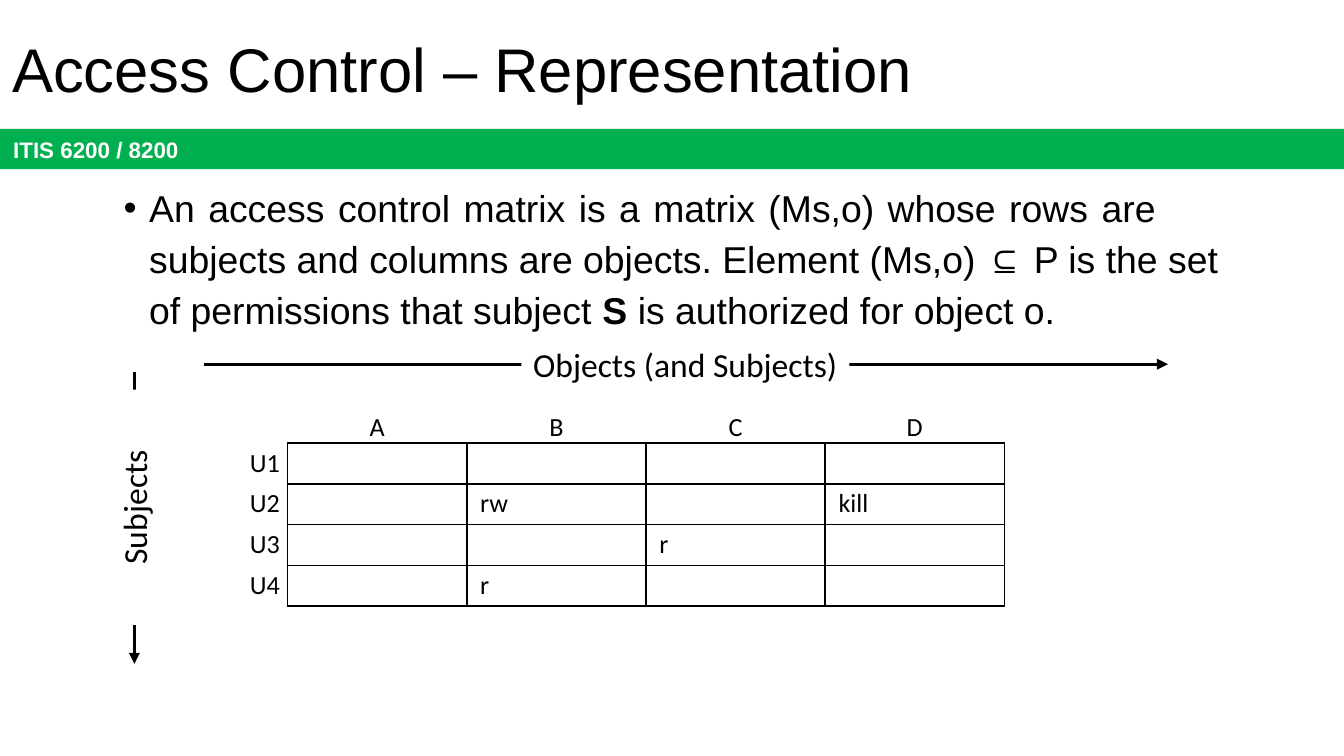
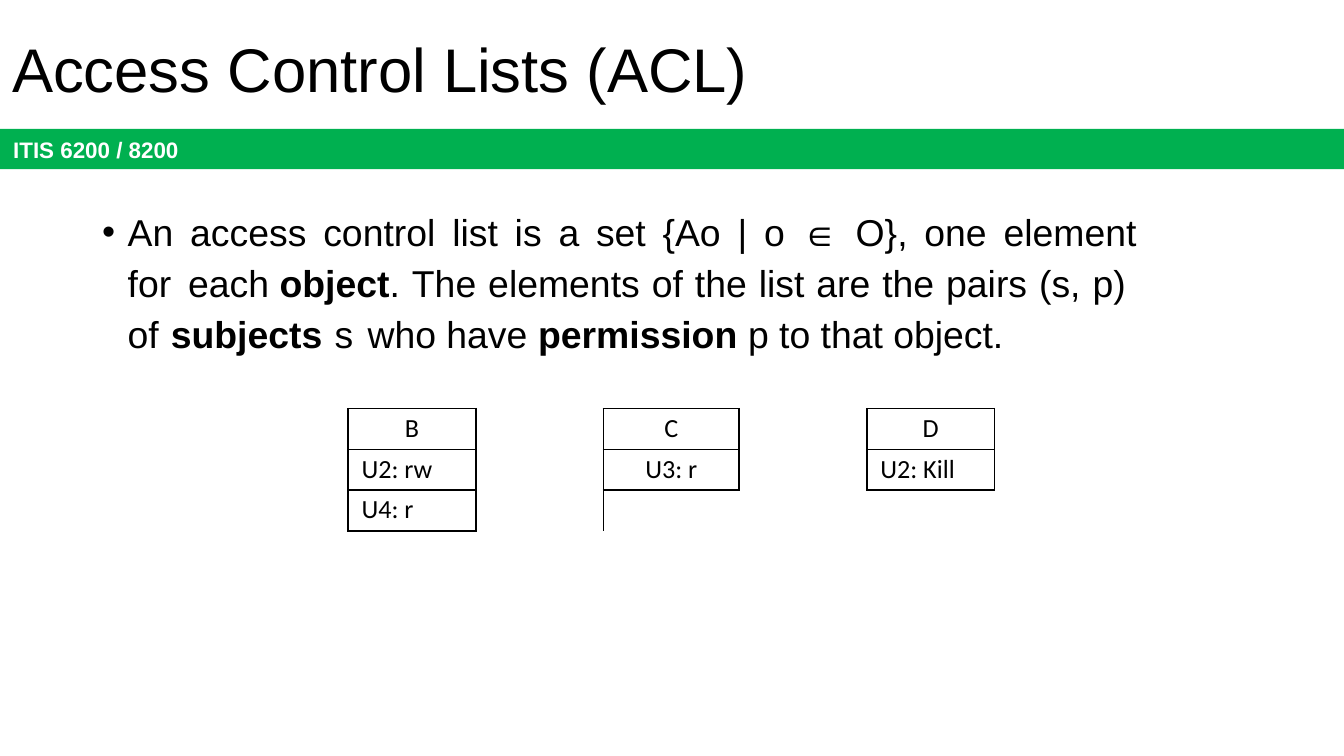
from itertools import product

from lxml.etree import SubElement
from pptx import Presentation
from pptx.dml.color import RGBColor
from pptx.enum.shapes import MSO_CONNECTOR as Connector, MSO_SHAPE as Shape
from pptx.enum.text import MSO_ANCHOR as Anchor, MSO_AUTO_SIZE as AutoSize, PP_ALIGN as Align
from pptx.oxml.ns import qn
from pptx.util import Inches, Pt

GREEN = RGBColor(0x00, 0xB0, 0x50)
WHITE = RGBColor(0xFF, 0xFF, 0xFF)
BLACK = RGBColor(0x00, 0x00, 0x00)
HEADING_FONT, LABEL_FONT = "Arial", "Calibri"
ROW_HEIGHT = 0.91 / 3
SIDES = {"L": (0, -1), "R": (0, 1), "T": (-1, 0), "B": (1, 0)}
OPPOSITE = {"L": "R", "R": "L", "T": "B", "B": "T"}


def set_font(font, name, size, color=BLACK, bold=False):
    font.name, font.size, font.bold = name, Pt(size), bold
    font.color.rgb = color


def set_margins(target, left=0.0, top=0.0, right=0.0, bottom=0.0):
    target.margin_left, target.margin_top = Inches(left), Inches(top)
    target.margin_right, target.margin_bottom = Inches(right), Inches(bottom)


def place(shape, box):
    shape.left, shape.top, shape.width, shape.height = map(Inches, box)


def add_box(slide, box, text, fill, align=Align.CENTER):
    """Borderless filled rectangle holding one line of text."""
    shape = slide.shapes.add_shape(Shape.RECTANGLE, *map(Inches, box))
    shape.shadow.inherit = False
    shape.fill.solid()
    shape.fill.fore_color.rgb = fill
    shape.line.fill.background()
    frame = shape.text_frame
    frame.word_wrap = True
    frame.vertical_anchor = Anchor.MIDDLE
    frame.text = text
    frame.paragraphs[0].alignment = align
    return shape


def add_heading(slide, title):
    """Title and course band shared by all slides."""
    band = add_box(slide, (0, 0.96, 10, 0.3), "ITIS 6200 / 8200", GREEN, Align.LEFT)
    set_margins(band.text_frame, 0.1, 0.1, 0.1, 0.1)
    set_font(band.text_frame.paragraphs[0].font, HEADING_FONT, 12, WHITE, True)

    place(slide.shapes.title, (0.08, 0.22, 6.99, 0.58))
    frame = slide.shapes.title.text_frame
    frame.text = title
    frame.auto_size = AutoSize.NONE
    frame.vertical_anchor = Anchor.TOP
    set_margins(frame, 0.01, 0.01)
    paragraph = frame.paragraphs[0]
    paragraph.alignment = Align.LEFT
    set_font(paragraph.font, HEADING_FONT, 33)


def add_definition(slide, box, segments):
    """Bulleted definition; each segment is (text, bold, extra points per space)."""
    body = slide.placeholders[1]
    place(body, box)
    frame = body.text_frame
    frame.auto_size = AutoSize.NONE
    frame.vertical_anchor = Anchor.TOP
    set_margins(frame, 0, 0.04)
    paragraph = frame.paragraphs[0]
    properties = paragraph._p.get_or_add_pPr()
    properties.set("marL", str(Inches(0.2)))
    properties.set("indent", str(Inches(-0.19)))
    SubElement(properties, qn("a:buFont"), typeface=HEADING_FONT)
    SubElement(properties, qn("a:buChar"), char="•")
    paragraph.alignment = Align.LEFT
    paragraph.line_spacing = 1.14
    paragraph.space_before = Pt(0)
    set_font(paragraph.font, HEADING_FONT, 20)
    for text, bold, stretch in segments:
        pieces = text.replace(" ", "\n \n").split("\n") if stretch else [text]
        for piece in filter(None, pieces):
            run = paragraph.add_run()
            run.text = piece
            run.font.bold = bold
            if piece == " ":
                run._r.get_or_add_rPr().set("spc", str(round(stretch * 100)))


def draw_border(cell, side, visible):
    line = SubElement(cell._tc.get_or_add_tcPr(), qn(f"a:ln{side}"), w=str(Pt(1)))
    if visible:
        fill = SubElement(line, qn("a:solidFill"))
        SubElement(fill, qn("a:srgbClr"), val=str(BLACK))
    else:
        SubElement(line, qn("a:noFill"))


def add_grid(slide, origin, widths, heights, texts, boxed, centred, extra_edges=()):
    """Table whose boxed cells are outlined; texts maps (row, column) to text."""
    size = sum(widths), sum(heights)
    table = slide.shapes.add_table(len(heights), len(widths), *map(Inches, (*origin, *size))).table
    table.first_row = table.horz_banding = False
    for column, width in zip(table.columns, widths):
        column.width = Inches(width)
    for row, height in zip(table.rows, heights):
        row.height = Inches(height)
    edges = set(extra_edges) | {(*position, side) for position in boxed for side in SIDES}
    for r, c in product(range(len(heights)), range(len(widths))):
        cell = table.cell(r, c)
        for side, (down, across) in SIDES.items():
            twin = (r + down, c + across, OPPOSITE[side])
            draw_border(cell, side, (r, c, side) in edges or twin in edges)
        cell.fill.background()
        is_centred = (r, c) in centred
        is_short = heights[r] < ROW_HEIGHT
        left = 0 if is_centred else 0.1 if (r, c) in boxed else 0.02
        set_margins(cell, left, 0.03 if (r, c) in texts and not is_short else 0)
        cell.text = texts.get((r, c), "")
        paragraph = cell.text_frame.paragraphs[0]
        paragraph.alignment = Align.CENTER if is_centred else Align.LEFT
        if is_short:
            paragraph.line_spacing = Pt(17.1)
        set_font(paragraph.font, LABEL_FONT, 14)


def add_axis(slide, start, end, label, label_box, vertical=False):
    """Arrow interrupted by a white label."""
    arrow = slide.shapes.add_connector(Connector.STRAIGHT, *map(Inches, (*start, *end)))
    arrow.line.color.rgb = BLACK
    arrow.line.width = Pt(1.75)
    SubElement(arrow.line._get_or_add_ln(), qn("a:tailEnd"), type="triangle")
    SubElement(arrow._element.spPr, qn("a:effectLst"))
    frame = add_box(slide, label_box, label, WHITE).text_frame
    set_margins(frame)
    set_font(frame.paragraphs[0].font, LABEL_FONT, 18)
    if vertical:
        frame._txBody.bodyPr.set("vert", "vert270")


def add_matrix(slide, left, top):
    """Access matrix with users as rows and objects as columns."""
    texts = {(0, c): name for c, name in enumerate("ABCD", 1)}
    centred = set(texts)
    texts |= {(r, 0): f"U{r}" for r in range(1, 5)}
    texts |= {(2, 2): "rw", (2, 4): "kill", (3, 3): "r", (4, 2): "r"}
    boxed = set(product(range(1, 5), range(1, 5)))
    add_grid(slide, (left, top), [0.3] + [4 / 3] * 4, [0.23] + [ROW_HEIGHT] * 4,
             texts, boxed, centred)


def add_object_lists(slide, left, top):
    """One list of user permissions per object."""
    texts = {(0, 0): "B", (1, 0): "U2: rw", (2, 0): "U4: r",
             (0, 2): "C", (1, 2): "U3: r", (0, 4): "D", (1, 4): "U2: Kill"}
    centred = {(0, 0), (0, 2), (1, 2), (0, 4)}
    add_grid(slide, (left, top), [0.95, 0.95, 1.01, 0.95, 0.95], [ROW_HEIGHT] * 3,
             texts, set(texts), centred, [(2, 2, "L")])


def build_representation(slide):
    add_heading(slide, "Access Control – Representation")
    add_matrix(slide, 1.84, 3.06)
    add_definition(slide, (0.91, 1.29, 8.19, 1.2), [
        ("An access control matrix is a matrix (Ms,o) whose rows are ", False, 1.6),
        ("subjects and columns are objects. Element (Ms,o) ⊆ P is the set of "
         "permissions that subject ", False, 0),
        ("S ", True, 0),
        ("is authorized for object o.", False, 0)])
    add_axis(slide, (1.52, 2.71), (8.69, 2.71), "Objects (and Subjects)", (3.88, 2.52, 2.44, 0.38))
    add_axis(slide, (1, 2.77), (1, 4.94), "Subjects", (0.65, 2.9, 0.69, 1.75), vertical=True)


def build_lists(slide):
    add_heading(slide, "Access Control Lists (ACL)")
    add_definition(slide, (0.75, 1.47, 7.75, 1.17), [
        ("An access control list is a set {Ao | o ∈ O}, one element for ", False, 3.4),
        ("each ", False, 0),
        ("object", True, 0),
        (". The elements of the list are the pairs (s, p) of ", False, 0.8),
        ("subjects ", True, 1),
        ("s ", False, 2),
        ("who have ", False, 0),
        ("permission ", True, 0),
        ("p to that object.", False, 0)])
    add_object_lists(slide, 2.59, 3.04)


def main():
    presentation = Presentation()
    presentation.slide_width = Inches(10)
    presentation.slide_height = Inches(10) * 9 // 16
    for build in (build_representation, build_lists):
        build(presentation.slides.add_slide(presentation.slide_layouts[1]))
    presentation.save("out.pptx")


if __name__ == "__main__":
    main()
